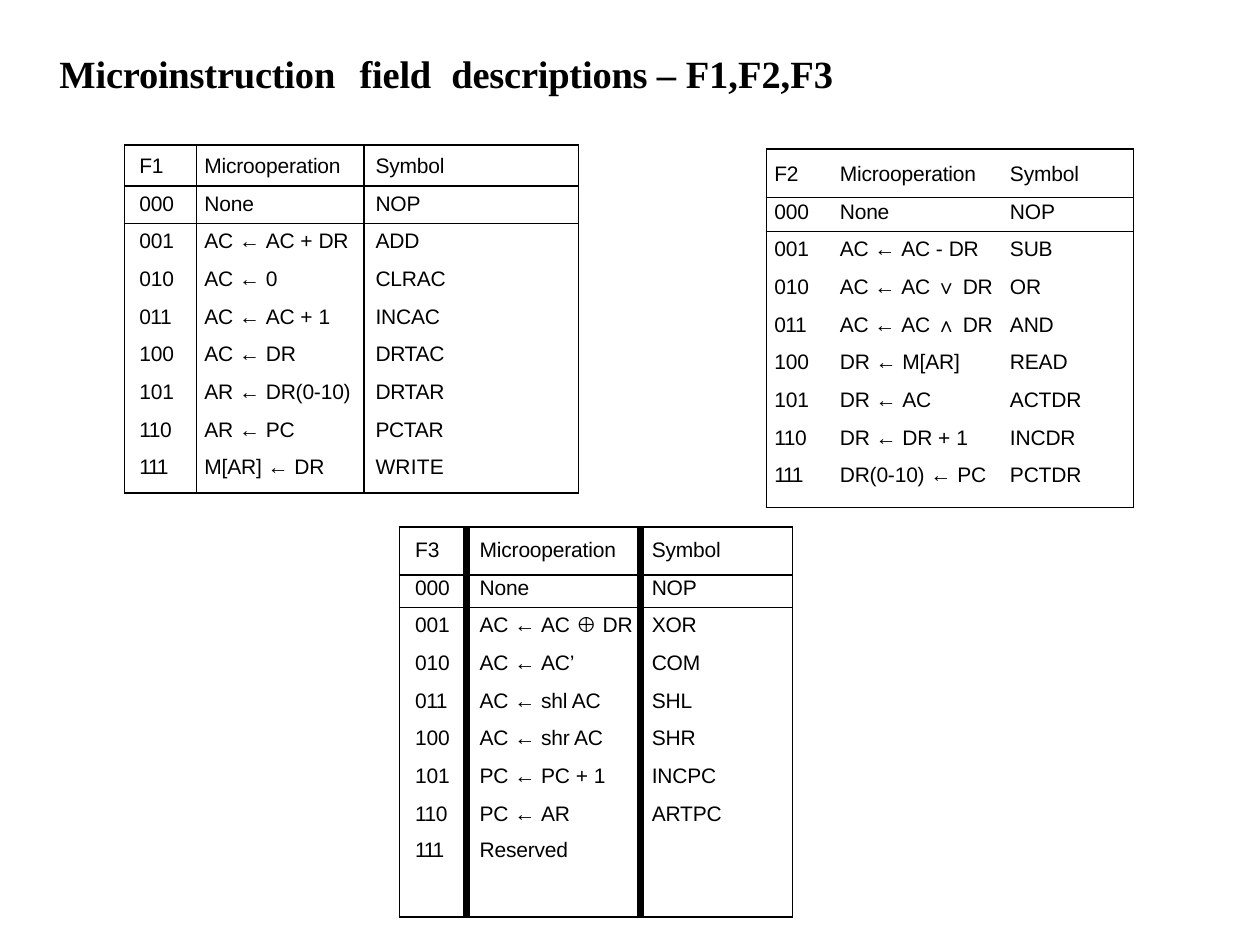
import lxml.etree
import pptx
import pptx.dml.color
import pptx.oxml.ns
import pptx.util

Cm = pptx.util.Cm
Pt = pptx.util.Pt
qn = pptx.oxml.ns.qn

INK = "000000"
HEAD = ("Microoperation", "Symbol")
SIGNS = set("←+-∨∧⊕")
TRACK = {"011": -30, "110": -30, "111": -80,
         "DRTAC": -20, "DRTAR": -20, "PCTAR": -20, "WRITE": 10}

F1 = [("None", "NOP"), ("AC ← AC + DR", "ADD"), ("AC ← 0", "CLRAC"),
      ("AC ← AC + 1", "INCAC"), ("AC ← DR", "DRTAC"),
      ("AR ← DR(0-10)", "DRTAR"), ("AR ← PC", "PCTAR"),
      ("M[AR] ← DR", "WRITE")]
F2 = [("None", "NOP"), ("AC ← AC - DR", "SUB"), ("AC ← AC ∨ DR", "OR"),
      ("AC ← AC ∧ DR", "AND"), ("DR ← M[AR]", "READ"),
      ("DR ← AC", "ACTDR"), ("DR ← DR + 1", "INCDR"),
      ("DR(0-10) ← PC", "PCTDR")]
F3 = [("None", "NOP"), ("AC ← AC ⊕ DR", "XOR"), ("AC ← AC’", "COM"),
      ("AC ← shl AC", "SHL"), ("AC ← shr AC", "SHR"),
      ("PC ← PC + 1", "INCPC"), ("PC ← AR", "ARTPC"), ("Reserved", "")]


def tint(code):
    return pptx.dml.color.RGBColor.from_string(code)


def add_run(para, text, face, size, track=0, bold=False):
    """Add one run; track is letter spacing in hundredths of a point."""
    run = para.add_run()
    run.text = text
    font = run.font
    font.name, font.size, font.bold = face, Pt(size), bold
    font.color.rgb = tint(INK)
    run._r.get_or_add_rPr().set("spc", str(track))


def add_title(slide, left, top, width, height):
    frame = slide.shapes.add_textbox(Cm(left), Cm(top), Cm(width), Cm(height)).text_frame
    frame.word_wrap = True
    frame.margin_left = frame.margin_top = Cm(0.03)
    frame.margin_right = frame.margin_bottom = 0
    para = frame.paragraphs[0]
    tabs = lxml.etree.SubElement(para._p.get_or_add_pPr(), qn("a:tabLst"))
    for stop in (6.05, 7.9):
        lxml.etree.SubElement(tabs, qn("a:tab"), pos=str(Cm(stop)), algn="l")
    face = "Times New Roman"
    add_run(para, "Microinstruction\tfield\tdescriptions –", face, 22, -10, True)
    add_run(para, " F1,F2,F3", face, 22, 0, True)


def set_edges(cell, edges):
    """Draw the left, right, top and bottom edges; width 0 hides an edge."""
    props = cell._tc.get_or_add_tcPr()
    for spot, (side, width) in enumerate(zip("LRTB", edges)):
        line = lxml.etree.Element(qn("a:ln" + side), w=str(Pt(width)))
        if width:
            fill = lxml.etree.SubElement(line, qn("a:solidFill"))
            lxml.etree.SubElement(fill, qn("a:srgbClr"), val=INK)
        else:
            lxml.etree.SubElement(line, qn("a:noFill"))
        props.insert(spot, line)


def fill_cell(cell, text, left, top):
    cell.fill.background()
    cell.margin_left, cell.margin_top = Cm(left), Cm(top)
    cell.margin_right = cell.margin_bottom = 0
    para = cell.text_frame.paragraphs[0]
    words = text.split()
    for num, word in enumerate(words, 1):
        track = 0 if word in SIGNS else TRACK.get(word, -10)
        add_run(para, word + " " * (num < len(words)), "Arial", 12, track)


def add_field(slide, name, ops, left, top, cols, ends, pads, tops, rule):
    """Place one field table.

    ends: heights of the first, second and last rows; pads: left inset of each
    column; tops: top inset of the same three rows; rule: inner vertical width.
    """
    rows = [(name, *HEAD)]
    rows += [(f"{code:03b}", *op) for code, op in enumerate(ops)]
    mid = len(rows) - 3
    highs = [*ends[:2], *[0.76] * mid, ends[2]]
    insets = [*tops[:2], *[0.12] * mid, tops[2]]
    across = [1, rule, rule, 1]
    down = [1, 1, 1, *[0] * mid, 1]

    table = slide.shapes.add_table(len(rows), len(cols), Cm(left), Cm(top),
                                   Cm(sum(cols)), Cm(sum(highs))).table
    table.first_row = table.horz_banding = False
    for col, width in zip(table.columns, cols):
        col.width = Cm(width)
    for r, row in enumerate(rows):
        table.rows[r].height = Cm(highs[r])
        for c, text in enumerate(row):
            cell = table.cell(r, c)
            fill_cell(cell, text, pads[c], insets[r])
            set_edges(cell, across[c:c + 2] + down[r:r + 2])


def main():
    deck = pptx.Presentation()
    deck.slide_width, deck.slide_height = Cm(25.4), Cm(19.05)
    slide = deck.slides.add_slide(deck.slide_layouts[6])
    add_title(slide, 1.17, 0.97, 15.8, 0.99)
    add_field(slide, "F1", F1, 2.51, 2.92, (1.45, 3.38, 4.32),
              (0.83, 0.76, 0.87), (0.3, 0.16, 0.23), (0.2, 0.13, 0.12), 1)
    add_field(slide, "F2", F2, 15.45, 3, (1.17, 3.51, 2.72),
              (0.98, 0.69, 1), (0.16, 0.31, 0.23), (0.27, 0.05, 0.12), 0)
    add_field(slide, "F3", F3, 8.05, 10.62, (1.35, 3.51, 3.07),
              (0.97, 0.66, 1.68), (0.32, 0.27, 0.23), (0.23, 0.02, 0.1), 4.25)
    deck.save("out.pptx")


if __name__ == "__main__":
    main()
